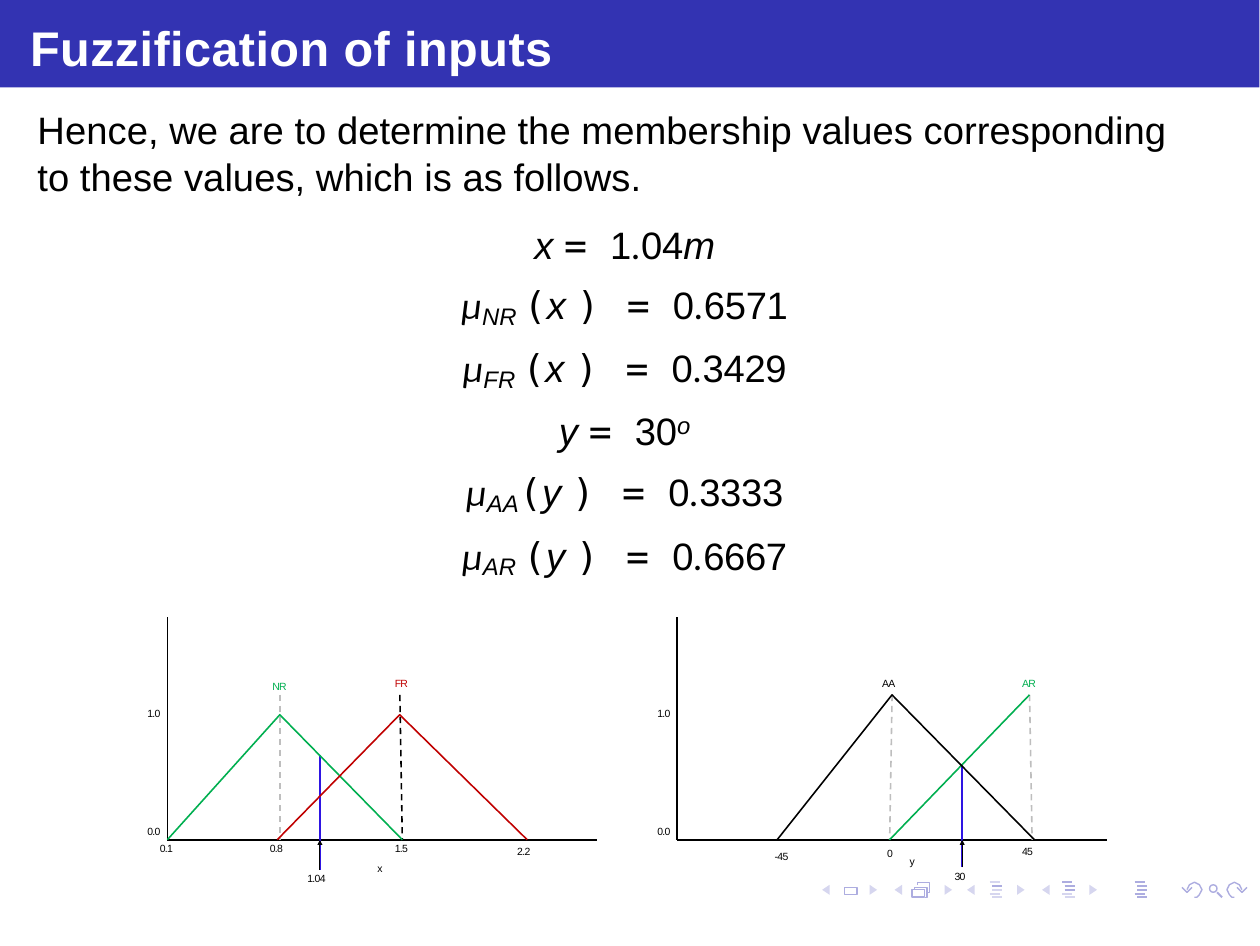
from lxml import etree
from pptx import Presentation
from pptx import util as u
from pptx.dml.color import RGBColor
from pptx.enum import dml, shapes, text
from pptx.oxml.ns import qn

BLUE = RGBColor(0x33, 0x33, 0xB2)
NAV = RGBColor(0xAD, 0xAD, 0xE0)
NAV_PALE = RGBColor(0xD6, 0xD6, 0xEF)
WHITE = RGBColor(0xFF, 0xFF, 0xFF)
BLACK = RGBColor(0, 0, 0)
GRAY = RGBColor(0xBE, 0xBE, 0xBE)
GREEN = RGBColor(0x00, 0xAF, 0x50)
RED = RGBColor(0xC0, 0x00, 0x00)
VIOLET = RGBColor(0x2E, 0x15, 0xE2)

STYLES = {
    "plain": ("Arial", 11, False, {}),
    "number": ("Arial", 11, False, {"spc": "-10"}),
    "variable": ("Arial", 11, True, {}),
    "mu": ("Calibri", 11, True, {}),
    "point": ("Calibri", 11, True, {"spc": "-10"}),
    "sub": ("Arial", 12, True, {"baseline": "-14000"}),
    "degree": ("Arial", 12, True, {"baseline": "28000", "spc": "-40"}),
    "mono": ("DejaVu Sans Mono", 11, False, {}),
    "close": ("DejaVu Sans Mono", 11, False, {"spc": "60"}),
}


def add_line(page, start, end, color, weight, dash=False):
    """Draw a straight line between two points in inches."""
    line = page.shapes.add_connector(
        shapes.MSO_CONNECTOR.STRAIGHT, *(u.Inches(v) for v in (*start, *end)))
    line.line.color.rgb = color
    line.line.width = u.Pt(weight)
    if dash:
        line.line.dash_style = dml.MSO_LINE.DASH
    etree.SubElement(line._element.spPr, qn("a:effectLst"))


def add_outline(page, points, fill=None, color=None, weight=0.4, close=False):
    """Draw a filled or stroked outline through points in inches."""
    corners = [(u.Inches(x), u.Inches(y)) for x, y in points]
    builder = page.shapes.build_freeform(*corners[0])
    builder.add_line_segments(corners[1:], close=close)
    paint(builder.convert_to_shape(), fill, color, weight)


def paint(shape, fill=None, color=None, weight=0.4):
    """Set the fill and line of a shape, leaving out what is not given."""
    shape.shadow.inherit = False
    if fill is None:
        shape.fill.background()
    else:
        shape.fill.solid()
        shape.fill.fore_color.rgb = fill
    if color is None:
        shape.line.fill.background()
    else:
        shape.line.color.rgb = color
        shape.line.width = u.Pt(weight)


def add_text_box(page, left, top, width, height, inset_left=0.0, inset_top=0.01):
    """Add a wrapping text box and return its text frame."""
    box = page.shapes.add_textbox(*(u.Inches(v) for v in (left, top, width, height)))
    frame = box.text_frame
    frame.word_wrap = True
    frame.margin_left, frame.margin_top = u.Inches(inset_left), u.Inches(inset_top)
    frame.margin_right = frame.margin_bottom = 0
    return frame


def add_span(para, words, style):
    """Add a run in one of the named styles."""
    span = para.add_run()
    span.text = words
    span.font.name, size, span.font.italic, extras = STYLES[style]
    span.font.size = u.Pt(size)
    span.font.color.rgb = BLACK
    for key, value in extras.items():
        span._r.get_or_add_rPr().set(key, value)


def set_indents(para, left, right):
    """Set paragraph indents in inches."""
    properties = para._p.get_or_add_pPr()
    properties.set("marL", str(u.Inches(left)))
    properties.set("marR", str(u.Inches(right)))


def title_bar(page, left, top, width, height):
    """Place the coloured band and the slide title."""
    band = page.shapes.add_shape(
        shapes.MSO_SHAPE.RECTANGLE, *(u.Inches(v) for v in (left, top, width, height)))
    paint(band, BLUE)
    para = add_text_box(page, left + 0.1, top + 0.05, 3.79, 0.27, 0.02, 0.02).paragraphs[0]
    para.text = "Fuzzification of inputs"
    para.space_before = u.Pt(1.2)
    para.font.name, para.font.size, para.font.bold = "Arial", u.Pt(14), True
    para.font.color.rgb = WHITE
    para.runs[0]._r.get_or_add_rPr().set("spc", "10")


def membership(name, variable, decimals):
    """Return the styled spans of one membership equation."""
    return [("µ", "mu"), (name, "sub"), ("(", "mono"), (f"{variable} ", "variable"),
            (") ", "close"), ("= ", "mono"), ("0", "number"), (".", "point"),
            (decimals, "number")]


def equations(page, left, top, width, height):
    """Place the introduction and the centred equations."""
    frame = add_text_box(page, left, top, width, height)
    intro = frame.paragraphs[0]
    add_span(intro, "Hence, we are to determine the membership values corresponding "
                    "to these values, which is as follows.", "plain")
    set_indents(intro, 0.04, 0.1)
    intro.line_spacing, intro.space_before = 1.03, u.Pt(0.3)
    rows = [
        (6.3, [("x ", "variable"), ("= ", "mono"), ("1", "number"), (".", "point"),
               ("04", "number"), ("m", "variable")]),
        (3.1, membership("NR ", "x", "6571")),
        (3.2, membership("FR ", "x", "3429")),
        (3.2, [("y ", "variable"), ("= ", "mono"), ("30", "number"), ("o", "degree")]),
        (3.1, membership("AA", "y", "3333")),
        (3.2, membership("AR ", "y", "6667")),
    ]
    for gap, spans in rows:
        para = frame.add_paragraph()
        para.alignment = text.PP_ALIGN.CENTER
        para.space_before = u.Pt(gap)
        set_indents(para, 0.1, 0.04)
        for words, style in spans:
            add_span(para, words, style)


def membership_plot(page, left, top, width, height, guides, reading, curves, labels):
    """Draw axes, dashed guides, the input reading, curves and labels."""
    def place(x, y):
        return left + x, top + y

    add_line(page, place(0, 0), place(0, height), BLACK, 0.44)
    add_line(page, place(0, height), place(width, height), BLACK, 0.44)
    for peak, foot, color in guides:
        add_line(page, place(peak, 0.31), place(foot, height), color, 0.44, dash=True)
    x, start, end = reading
    add_line(page, place(x, start), place(x, end), VIOLET, 0.44)
    for points, color in curves:
        add_outline(page, [place(*point) for point in points], color=color, weight=0.44)
    add_line(page, place(x, end), place(x, 0.91), BLACK, 0.3)
    add_outline(page, [place(x, 0.89), place(x - 0.01, 0.91), place(x + 0.01, 0.91)],
                fill=BLACK, close=True)
    scale = [("0.0", -0.09, 0.82, BLACK), ("1.0", -0.09, 0.35, BLACK)]
    for words, dx, dy, color in scale + labels:
        para = add_text_box(page, *place(dx, dy), 0.12, 0.08, 0.01).paragraphs[0]
        para.space_before = u.Pt(1.4)
        add_span(para, words, "number")
        font = para.runs[0].font
        font.size, font.color.rgb = u.Pt(3), color
        para.runs[0]._r.get_or_add_rPr().set("spc", "-20")


def navigation(page, left, top):
    """Draw the row of navigation symbols."""
    for back, forward in ((0, 0.19), (0.29, 0.49), (0.58, 0.78), (0.88, 1.07)):
        for base, tip in ((back + 0.03, back), (forward, forward + 0.03)):
            add_outline(page, [(left + base, top + 0.01), (left + tip, top + 0.03),
                               (left + base, top + 0.05)], fill=NAV_PALE, close=True)
    for kind, x, y, width, height in (
            (shapes.MSO_SHAPE.RECTANGLE, 0.09, 0.02, 0.05, 0.03),
            (shapes.MSO_SHAPE.RECTANGLE, 0.36, 0.03, 0.05, 0.03),
            (shapes.MSO_SHAPE.OVAL, 1.55, 0.01, 0.03, 0.03)):
        paint(page.shapes.add_shape(kind, u.Inches(left + x), u.Inches(top + y),
                                    u.Inches(width), u.Inches(height)), color=NAV)
    for x, y in ((0.37, 0.02), (0.38, 0)):
        add_outline(page, [(left + x + dx, top + y + dy) for dx, dy in
                           ((0, 0.01), (0, 0), (0.05, 0), (0.05, 0.04), (0.04, 0.04))],
                    color=NAV)
    add_line(page, (left + 1.58, top + 0.04), (left + 1.6, top + 0.06), NAV, 0.6)
    for x, strong in ((0.67, {1}), (0.96, {0, 1, 2}), (1.25, {0, 1, 2, 3, 4})):
        for index, indent in enumerate((0, 0.01, 0.01, 0, 0.01)):
            start, height = left + x + indent, top + index * 0.06 / 4
            add_line(page, (start, height), (start + 0.04, height),
                     NAV if index in strong else NAV_PALE, 0.6)
    arc = ((0.05, 0.06), (0.06, 0.06), (0.07, 0.05), (0.08, 0.03), (0.07, 0.01),
           (0.05, 0), (0.03, 0.01), (0.02, 0.03))
    head = ((0.04, 0.02), (0.02, 0.04), (0, 0.02))
    for origin, direction in ((left + 1.44, 1), (left + 1.7, -1)):
        for points in (arc, head):
            add_outline(page, [(origin + direction * x, top + y) for x, y in points],
                        color=NAV)


def main():
    """Build the slide and save it."""
    deck = Presentation()
    deck.slide_width, deck.slide_height = u.Pt(363), u.Pt(272.5)
    page = deck.slides.add_slide(deck.slide_layouts[6])
    navigation(page, 3.29, 3.53)
    title_bar(page, 0, 0, 5.04, 0.35)
    equations(page, 0.11, 0.41, 4.72, 1.81)
    membership_plot(
        page, 0.67, 2.47, 1.72, 0.89,
        guides=[(0.93, 0.94, BLACK), (0.45, 0.45, GRAY)],
        reading=(0.61, 0.55, 1.01),
        curves=[([(0, 0.89), (0.45, 0.39), (0.94, 0.89)], GREEN),
                ([(0.44, 0.89), (0.93, 0.39), (1.44, 0.89)], RED)],
        labels=[("0.1", -0.04, 0.89, BLACK), ("0.8", 0.4, 0.89, BLACK),
                ("1.5", 0.9, 0.89, BLACK), ("2.2", 1.39, 0.9, BLACK),
                ("1.04", 0.55, 1.01, BLACK), ("x", 0.83, 0.97, BLACK),
                ("NR", 0.41, 0.24, GREEN), ("FR", 0.9, 0.23, RED)])
    membership_plot(
        page, 2.71, 2.47, 1.72, 0.89,
        guides=[(1.41, 1.42, GRAY), (0.86, 0.85, GRAY)],
        reading=(1.14, 0.59, 1.0),
        curves=[([(0.85, 0.89), (1.41, 0.31)], GREEN),
                ([(0.4, 0.89), (0.86, 0.31), (1.43, 0.89)], BLACK)],
        labels=[("-45", 0.38, 0.92, BLACK), ("0", 0.83, 0.91, BLACK),
                ("45", 1.37, 0.9, BLACK), ("30", 1.1, 1.0, BLACK),
                ("y", 0.92, 0.94, BLACK), ("AA", 0.81, 0.23, BLACK),
                ("AR", 1.37, 0.23, GREEN)])
    deck.save("out.pptx")


if __name__ == "__main__":
    main()
